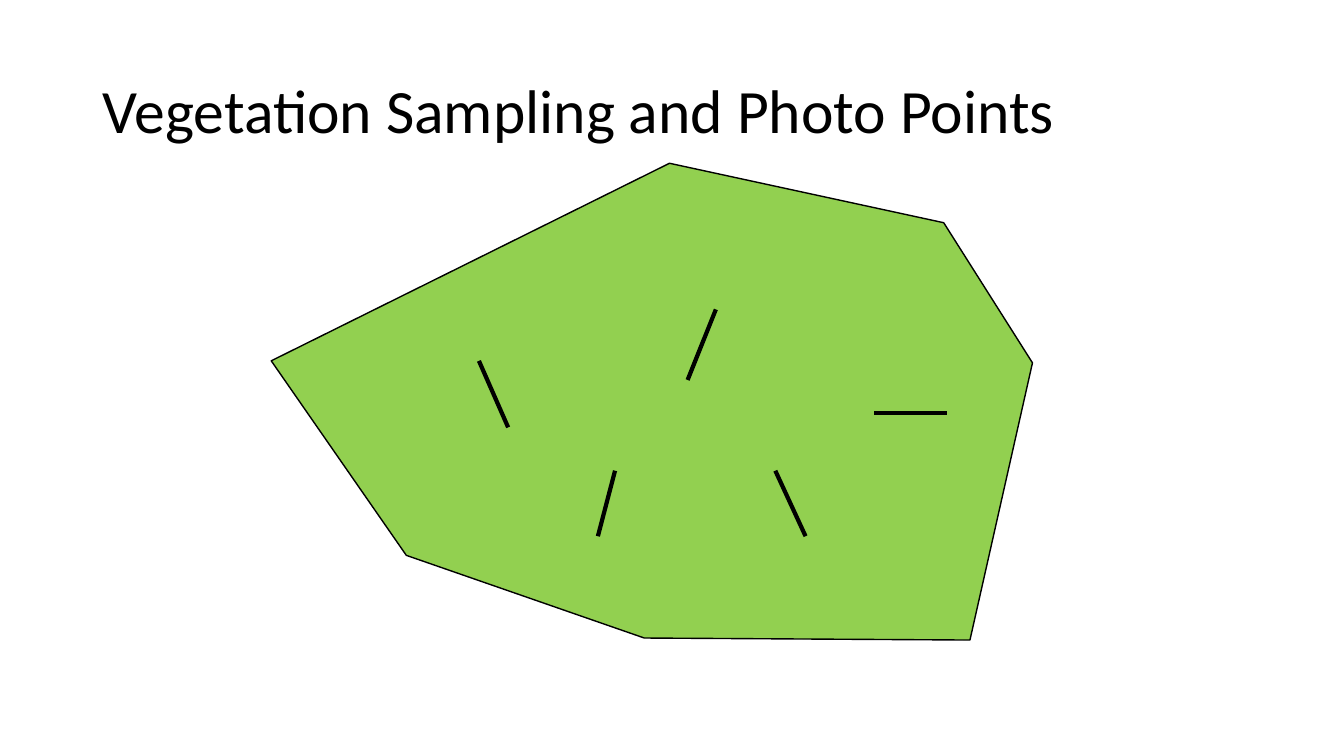
from typing import NamedTuple

from lxml import etree
from pptx import Presentation
from pptx.dml.color import RGBColor
from pptx.enum.shapes import MSO_CONNECTOR
from pptx.enum.text import MSO_ANCHOR, MSO_AUTO_SIZE, PP_ALIGN
from pptx.oxml.ns import qn
from pptx.util import Inches, Pt

STRAIGHT = MSO_CONNECTOR.STRAIGHT
MIDDLE = MSO_ANCHOR.MIDDLE
NO_AUTOFIT = MSO_AUTO_SIZE.NONE
LEFT = PP_ALIGN.LEFT

BLACK = RGBColor(0x00, 0x00, 0x00)
GREEN = RGBColor(0x92, 0xD0, 0x50)

TITLE_ONLY = 5
CELL = Inches(1)  # one column or row of the slide grid
COLS, ROWS = 13.33, 7.5


class Point(NamedTuple):
    col: float
    row: float

    def emu(self) -> tuple[int, int]:
        return round(self.col * CELL), round(self.row * CELL)


class Transect(NamedTuple):
    start: Point
    end: Point


SITE_OUTLINE = [
    Point(6.64, 1.62), Point(2.69, 3.58), Point(4.03, 5.51), Point(6.39, 6.33),
    Point(9.62, 6.35), Point(10.24, 3.6), Point(9.36, 2.21),
]
TRANSECTS = [
    Transect(Point(4.75, 3.58), Point(5.04, 4.24)),
    Transect(Point(7.1, 3.07), Point(6.82, 3.77)),
    Transect(Point(7.69, 4.67), Point(7.99, 5.32)),
    Transect(Point(6.1, 4.67), Point(5.93, 5.32)),
    Transect(Point(9.39, 4.1), Point(8.67, 4.1)),
]


def set_line(shape, width: float) -> None:
    shape.line.color.rgb = BLACK
    shape.line.width = Pt(width)


def add_title(s, text: str):
    title = s.shapes.title
    title.left, title.top = Point(0.92, 0.4).emu()
    title.width, title.height = Point(11.5, 1.45).emu()
    tf = title.text_frame
    for name, value in {"vertical_anchor": MIDDLE, "word_wrap": True, "auto_size": NO_AUTOFIT}.items():
        setattr(tf, name, value)
    p = tf.paragraphs[0]
    p.alignment, p.line_spacing = LEFT, 0.9
    r = p.add_run()
    r.text = text
    for name, value in {"name": "Calibri", "size": Pt(44)}.items():
        setattr(r.font, name, value)
    r.font.color.rgb = BLACK
    return title


def add_site(s, outline: list[Point]):
    first, *rest = [point.emu() for point in outline]
    builder = s.shapes.build_freeform(*first)
    builder.add_line_segments(rest, close=True)
    site = builder.convert_to_shape()
    site.shadow.inherit = False
    site.fill.solid()
    site.fill.fore_color.rgb = GREEN
    set_line(site, 1)
    return site


def add_transect(s, transect: Transect) -> None:
    line = s.shapes.add_connector(STRAIGHT, *transect.start.emu(), *transect.end.emu())
    set_line(line, 3)
    etree.SubElement(line.element.spPr, qn("a:effectLst"))


def main() -> None:
    prs = Presentation()
    prs.slide_width, prs.slide_height = Point(COLS, ROWS).emu()
    s = prs.slides.add_slide(prs.slide_layouts[TITLE_ONLY])
    title = add_title(s, "Vegetation Sampling and Photo Points")
    site = add_site(s, SITE_OUTLINE)
    title.element.addprevious(site.element)  # the site lies behind the title
    for transect in TRANSECTS:
        add_transect(s, transect)
    prs.save("out.pptx")


if __name__ == "__main__":
    main()
